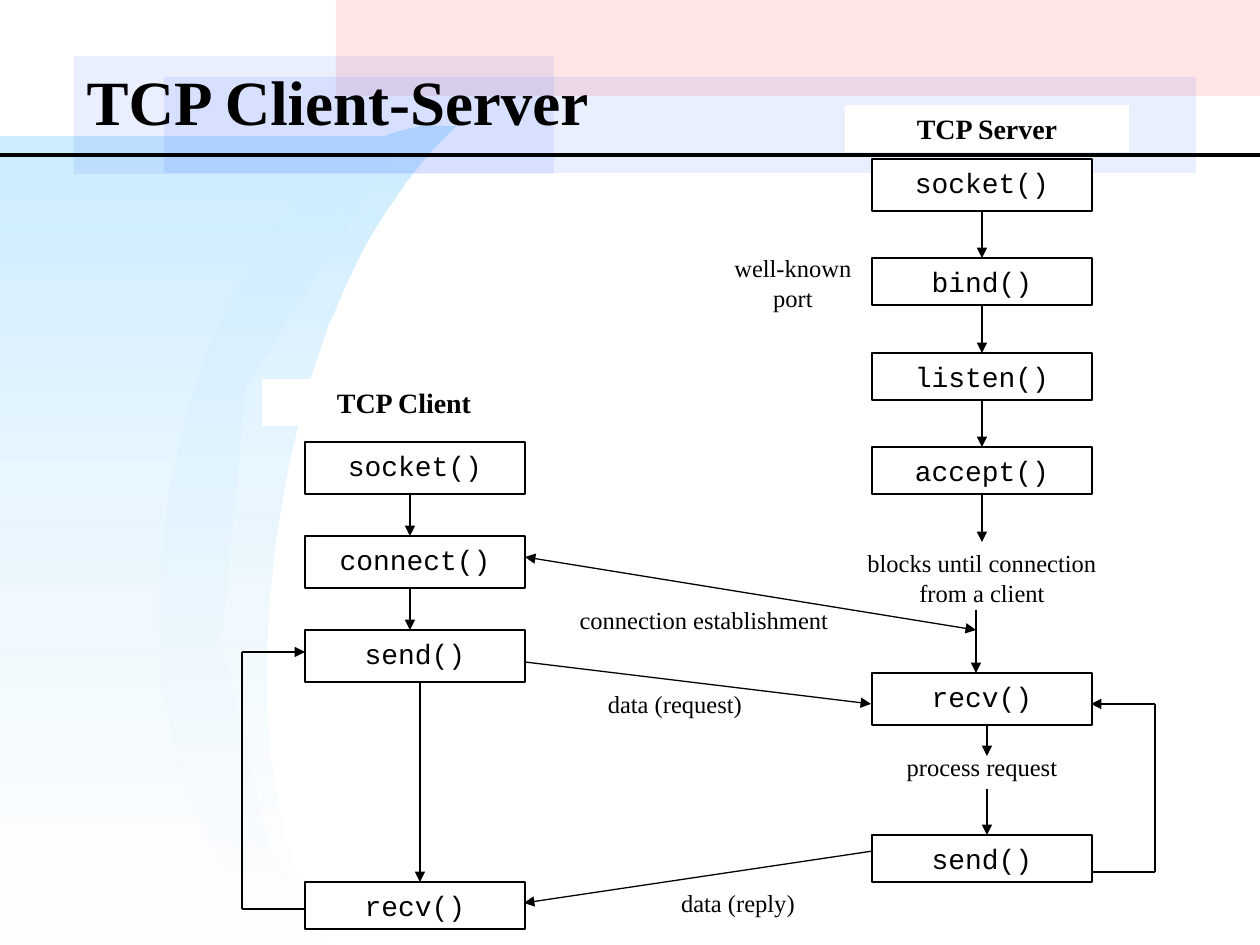
from lxml import etree
from pptx import Presentation
from pptx import util as u
from pptx.dml.color import RGBColor
from pptx.enum import shapes, text
from pptx.oxml.ns import qn

COLORS = {"ink": "000000", "paper": "FFFFFF", "pink": "FFCCCC",
          "blue": "3366FF", "sky": "CCECFF", "mist": "FEFEFE"}
SERIF, MONO = "Times New Roman", "Courier New"
SCALE = 914400 / 126

TITLE = ("TCP Client-Server", (74, 26, 776, 149))
BANDS = [
    ((336, 0, 924, 96), "pink", 50),
    ((74, 56, 480, 118), "blue", 10),
    ((164, 77, 1032, 96), "blue", 10),
]
CRESCENT = [
    [(455, 127), (387, 192), (314, 301), (280, 515)],
    [(280, 515), (246, 729), (282, 857), (326, 937)],
    [(326, 937), (204, 919), (134, 721), (169, 498)],
    [(169, 498), (203, 276), (333, 108), (455, 127)],
]
PANEL = [(332, 945), (0, 945), (0, 137), (406, 137),
         (246, 388), (222, 639), (271, 854)]

BOX_W = 220
COLUMNS = [
    (872, [("socket()", 159, 52), ("bind()", 258, 47), ("listen()", 353, 47),
           ("accept()", 447, 47), ("recv()", 673, 52), ("send()", 835, 47)]),
    (305, [("socket()", 442, 52), ("connect()", 536, 52),
           ("send()", 630, 52), ("recv()", 882, 47)]),
]
HEADINGS = [
    ("TCP Server", (845, 105, 284, 47)),
    ("TCP Client", (262, 379, 284, 47)),
]
NOTES = [
    ("well-known port", (714, 247, 158, 78)),
    ("blocks until connection from a client", (840, 542, 284, 78)),
    ("connection establishment", (557, 599, 294, 52)),
    ("data (request)", (557, 683, 236, 47)),
    ("process request", (872, 746, 220, 47)),
    ("data (reply)", (620, 882, 236, 47)),
]
ARROWS = [
    [(982, 211), (982, 258)], [(982, 305), (982, 353)],
    [(982, 400), (982, 447)], [(982, 494), (982, 542)],
    [(976, 610), (976, 673)], [(987, 725), (987, 756)],
    [(987, 789), (987, 835)],
    [(410, 494), (410, 536)], [(410, 588), (410, 630)],
    [(420, 683), (420, 882)],
    [(525, 662), (871, 704)], [(873, 851), (524, 903)],
    [(305, 909), (242, 909), (242, 652), (305, 652)],
    [(1092, 872), (1155, 872), (1155, 704), (1091, 704)],
]
HANDSHAKE = [(525, 557), (976, 630)]


def px(n):
    return u.Emu(round(n * SCALE))


def rgb(name):
    return RGBColor.from_string(COLORS[name])


def set_alpha(sp, name, percent):
    for clr in sp._element.spPr.iter(qn("a:srgbClr")):
        if clr.get("val") == COLORS[name]:
            etree.SubElement(clr, qn("a:alpha"), val=str(percent * 1000))


def add_rect(s, at, fill, border=False):
    sp = s.shapes.add_shape(shapes.MSO_SHAPE.RECTANGLE, *map(px, at))
    sp.shadow.inherit = False
    sp.fill.solid()
    sp.fill.fore_color.rgb = rgb(fill)
    if border:
        sp.line.color.rgb = rgb("ink")
        sp.line.width = u.Pt(0.75)
    else:
        sp.line.fill.background()
    return sp


def write(sp, words, size, font, bold=False, align="CENTER", anchor="TOP"):
    tf = sp.text_frame
    tf.word_wrap = True
    tf.auto_size = text.MSO_AUTO_SIZE.NONE
    tf.vertical_anchor = text.MSO_ANCHOR[anchor]
    p = tf.paragraphs[0]
    p.text = words
    p.alignment = text.PP_ALIGN[align]
    p.font.size, p.font.name, p.font.bold = u.Pt(size), font, bold
    p.font.color.rgb = rgb("ink")


def add_wash(s, points):
    start, *rest = points
    fb = s.shapes.build_freeform(*start, scale=SCALE)
    fb.add_line_segments(rest, close=True)
    sp = fb.convert_to_shape()
    sp.shadow.inherit = False
    sp.line.fill.background()
    sp.fill.gradient()
    sp.fill.gradient_angle = 270
    for stop, name, pos in zip(sp.fill.gradient_stops, ("sky", "mist"), (0, 1)):
        stop.color.rgb = rgb(name)
        stop.position = pos
    set_alpha(sp, "mist", 50)


def bezier(curve, steps=20):
    for i in range(steps):
        t = i / steps
        weights = ((1 - t) ** 3, 3 * t * (1 - t) ** 2, 3 * t * t * (1 - t), t ** 3)
        yield tuple(sum(w * pt[k] for w, pt in zip(weights, curve)) for k in (0, 1))


def add_line(s, start, end, width=0.75, head=False, tail=False):
    c = s.shapes.add_connector(shapes.MSO_CONNECTOR.STRAIGHT,
                               *map(px, (*start, *end)))
    c.line.color.rgb = rgb("ink")
    c.line.width = u.Pt(width)
    ln = c.line._get_or_add_ln()
    for tag, wanted in (("a:headEnd", head), ("a:tailEnd", tail)):
        if wanted:
            etree.SubElement(ln, qn(tag), type="triangle")
    etree.SubElement(c._element.spPr, qn("a:effectLst"))


def main():
    prs = Presentation()
    prs.slide_width, prs.slide_height = px(1260), px(945)
    s = prs.slides.add_slide(prs.slide_layouts[5])

    for i, (at, fill, alpha) in enumerate(BANDS):
        set_alpha(add_rect(s, at, fill), fill, alpha)
        if i == 0:
            add_wash(s, [pt for curve in CRESCENT for pt in bezier(curve)])
            add_wash(s, PANEL)
    add_line(s, (0, 155), (1260, 155), width=2.25)

    words, at = TITLE
    title = s.shapes.title
    title.left, title.top, title.width, title.height = map(px, at)
    write(title, words, 36, SERIF, bold=True, align="LEFT", anchor="MIDDLE")
    s.shapes._spTree.append(title._element)

    for labels, size, bold in ((HEADINGS, 16, True), (NOTES, 14, False)):
        for words, at in labels:
            write(add_rect(s, at, "paper"), words, size, SERIF, bold)
    for left, calls in COLUMNS:
        for words, top, height in calls:
            sp = add_rect(s, (left, top, BOX_W, height), "paper", border=True)
            write(sp, words, 16, MONO)

    for route in ARROWS:
        for start, end in zip(route, route[1:]):
            add_line(s, start, end, tail=end == route[-1])
    add_line(s, *HANDSHAKE, head=True, tail=True)

    prs.save("out.pptx")


if __name__ == "__main__":
    main()
